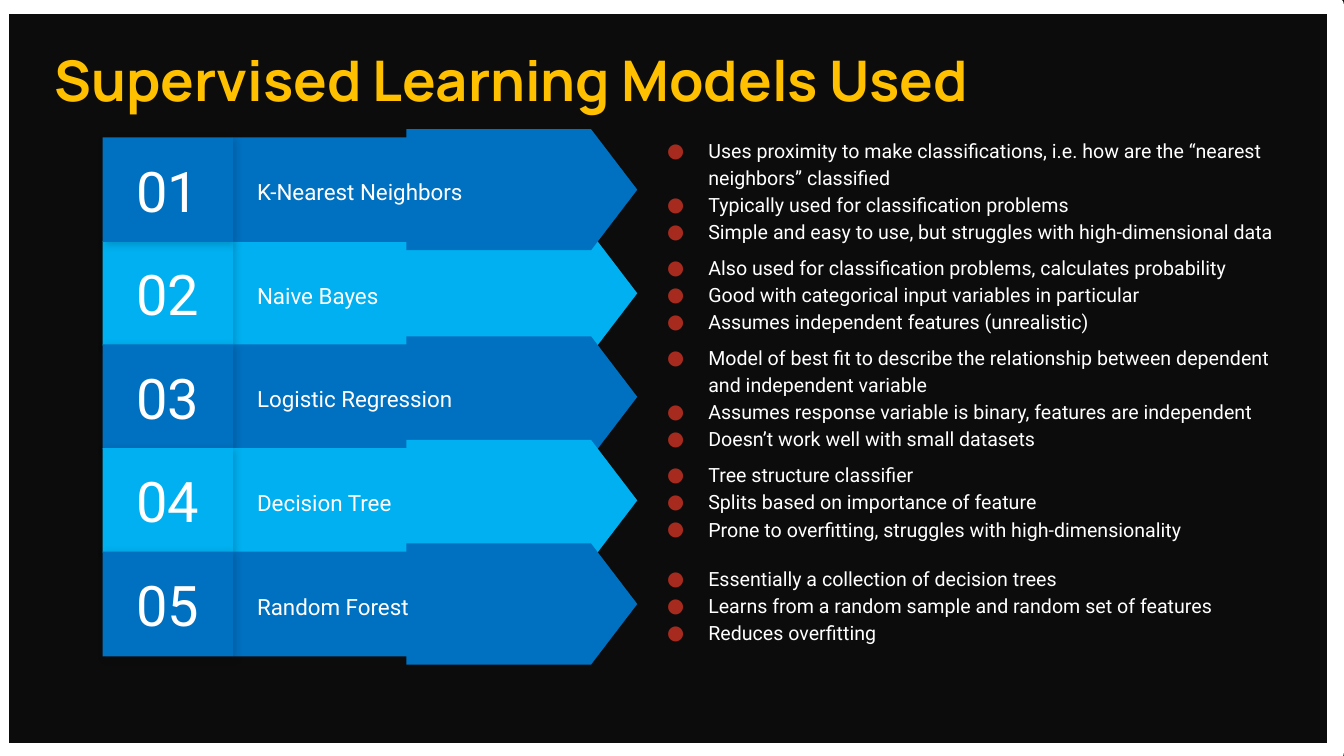
from lxml.etree import SubElement
from pptx import Presentation
from pptx.dml.color import RGBColor
from pptx.enum.shapes import MSO_SHAPE
from pptx.enum.text import MSO_ANCHOR, MSO_AUTO_SIZE, PP_ALIGN
from pptx.oxml.ns import qn
from pptx.util import Cm, Pt

BLUE, CYAN, WHITE = "0070C0", "00B0F0", "FFFFFF"
TOP, STEP, HIGH = 3.46, 2.61, 2.64
MODELS = [
    ("K-Nearest Neighbors", 17.02, [
        "Uses proximity to make classifications, i.e. how are the “nearest neighbors” classified",
        "Typically used for classification problems",
        "Simple and easy to use, but struggles with high-dimensional data"]),
    ("Naive Bayes", 16.13, [
        "Also used for classification problems, calculates probability",
        "Good with categorical input variables in particular",
        "Assumes independent features (unrealistic)"]),
    ("Logistic Regression", 17.02, [
        "Model of best fit to describe the relationship between dependent and independent variable",
        "Assumes response variable is binary, features are independent",
        "Doesn’t work well with small datasets"]),
    ("Decision Tree", 17.02, [
        "Tree structure classifier",
        "Splits based on importance of feature",
        "Prone to overfitting, struggles with high-dimensionality"]),
    ("Random Forest", 15.27, [
        "Essentially a collection of decision trees",
        "Learns from a random sample and random set of features",
        "Reduces overfitting"]),
]


def tint(code):
    return RGBColor.from_string(code)


class Deck:
    """Holds the style and the current slide."""

    def __init__(self):
        self.file = Presentation()
        self.file.slide_width, self.file.slide_height = Cm(33.87), Cm(19.05)
        self.font, self.ink, self.dot = "Roboto", WHITE, "A72A1E"
        self.slide = self.file.slides.add_slide(self.file.slide_layouts[4])
        self.bodies = list(self.slide.placeholders)[1:]
        fill = self.slide.background.fill
        fill.solid()
        fill.fore_color.rgb = tint("0C0C0C")

    def place(self, shape, x, y, w, h):
        shape.left, shape.top, shape.width, shape.height = Cm(x), Cm(y), Cm(w), Cm(h)

    def letter(self, shape, text, size, font=None, ink=None, bold=False,
               pad=0.33, anchor=MSO_ANCHOR.MIDDLE, align=PP_ALIGN.LEFT, lead=1.0):
        frame = shape.text_frame
        frame.text = text
        frame.word_wrap = True
        frame.auto_size = MSO_AUTO_SIZE.NONE
        frame.vertical_anchor = anchor
        frame.margin_left = frame.margin_right = Cm(pad)
        frame.margin_top = frame.margin_bottom = Cm(pad)
        for para in frame.paragraphs:
            para.alignment, para.line_spacing = align, lead
            para.space_before = para.space_after = Pt(0)
            for run in para.runs:
                run.font.name, run.font.size = font or self.font, Pt(size)
                run.font.bold = bold
                run.font.color.rgb = tint(ink or self.ink)

    def title(self, text, box):
        shape = self.slide.shapes.title
        self.place(shape, *box)
        self.letter(shape, text, 40, "Manrope", "FFC000", True, 0.25, MSO_ANCHOR.TOP)

    def frame(self, box):
        shape = self.block(MSO_SHAPE.RECTANGLE, box)
        shape.line.color.rgb = tint(WHITE)
        shape.line.width = Pt(12.25)

    def block(self, kind, box, fill=None, turn=0):
        shape = self.slide.shapes.add_shape(kind, *map(Cm, box))
        shape.shadow.inherit = False
        shape.line.fill.background()
        shape.rotation = turn
        if fill:
            shape.fill.solid()
            shape.fill.fore_color.rgb = tint(fill)
        else:
            shape.fill.background()
        return shape

    def tile(self, text, box, fill):
        shape = self.block(MSO_SHAPE.RECTANGLE, box, fill)
        self.letter(shape, text, 40, align=PP_ALIGN.CENTER)
        glow = SubElement(shape._element.spPr.find(qn("a:effectLst")), qn("a:outerShdw"),
                          blurRad="71120", dist="27940", dir="2700000",
                          algn="tl", rotWithShape="0")
        shade = SubElement(glow, qn("a:srgbClr"), val="000000")
        SubElement(shade, qn("a:alpha"), val="17000")

    def label(self, text, box):
        shape = self.slide.shapes.add_textbox(*map(Cm, box))
        self.letter(shape, text, 16, lead=1.15)

    def points(self, lines, box):
        if self.bodies:
            shape = self.bodies.pop(0)
            self.place(shape, *box)
        else:
            shape = self.slide.shapes.add_textbox(*map(Cm, box))
        self.letter(shape, "\n".join(lines), 14, lead=1.15)
        for para in shape.text_frame.paragraphs:
            props = para._p.get_or_add_pPr()
            props.set("marL", str(Cm(1.7)))
            props.set("indent", str(-Cm(1.04)))
            SubElement(SubElement(props, qn("a:buClr")), qn("a:srgbClr"), val=self.dot)
            SubElement(props, qn("a:buFont"), typeface=self.font)
            SubElement(props, qn("a:buChar"), char="●")

    def row(self, rank):
        name, wide, lines = MODELS[rank]
        y = TOP + STEP * rank
        fill = CYAN if rank % 2 else BLUE
        self.block(MSO_SHAPE.RECTANGLE, (5.87, y, 8.74, HIGH), fill)
        w, h = 3.05, 5.82
        self.block(MSO_SHAPE.FLOWCHART_OFFPAGE_CONNECTOR,
                   (13.15 - w / 2, y + (HIGH - h) / 2, w, h), fill, 270)
        self.label(name, (6.15, y + 0.31, 9.19, 2.03))
        self.tile(f"{rank + 1:02}", (2.59, y, 3.28, HIGH), fill)
        self.points(lines, (15.82, y, wide, HIGH))


def main():
    deck = Deck()
    deck.frame((0, 0.13, 33.66, 18.82))
    for rank in (1, 0, 2, 3, 4):
        deck.row(rank)
    deck.title("Supervised Learning Models Used", (1.12, 0.89, 25.45, 2.24))
    deck.file.save("out.pptx")


if __name__ == "__main__":
    main()
